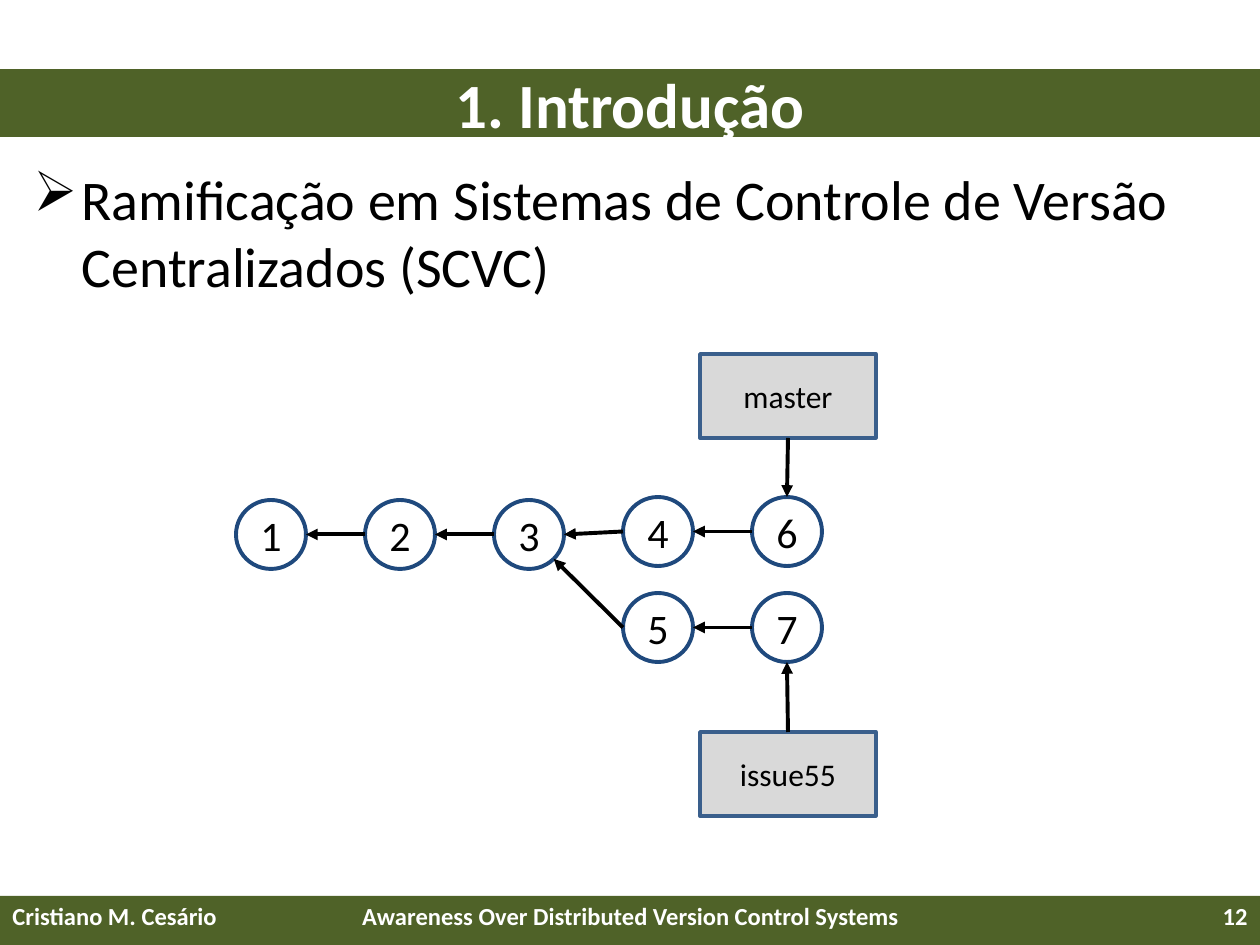
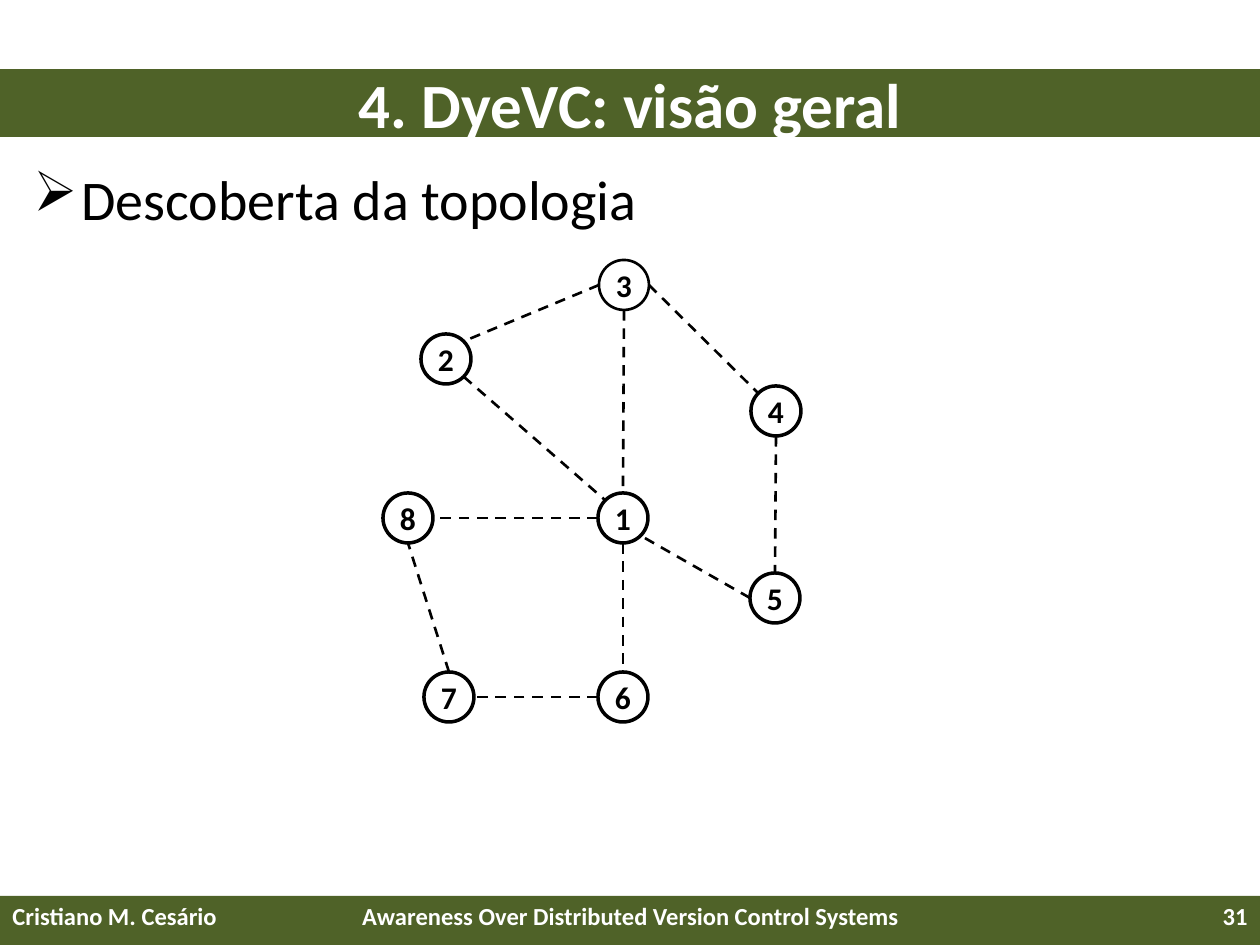
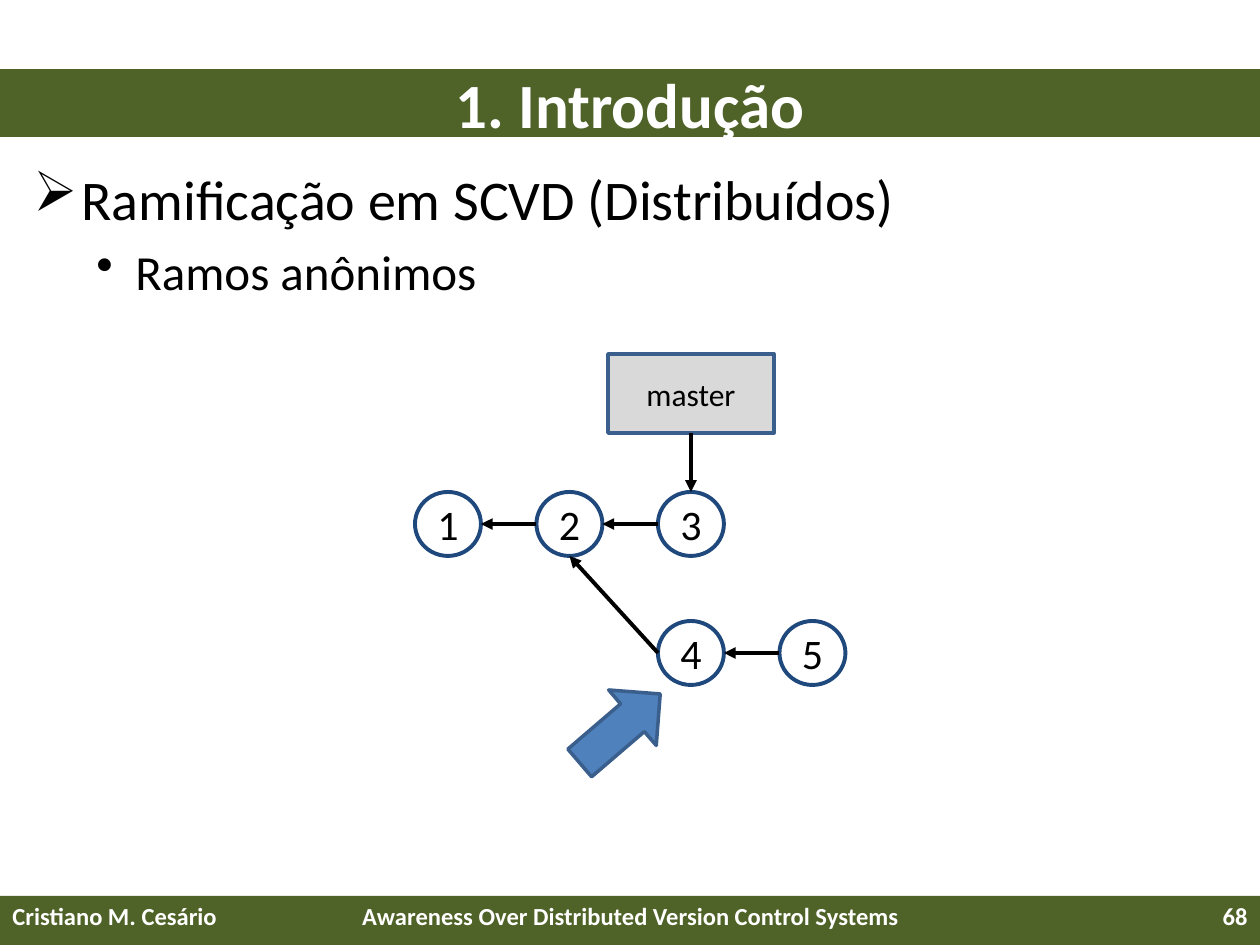
from lxml import etree
from pptx import Presentation
from pptx import util as u
from pptx.dml.color import RGBColor
from pptx.enum import dml, shapes, text
from pptx.oxml.ns import qn

PX = 914400 / 126
WIDTH, HEIGHT = 1260, 945
FONT = "Calibri"
GREEN, WHITE, BLACK = "4F6228", "FFFFFF", "000000"
NAVY, STEEL, BLUE, GREY = "1F497D", "3A5F8C", "4F81BD", "D9D9D9"
LEFT, CENTER, RIGHT = text.PP_ALIGN.LEFT, text.PP_ALIGN.CENTER, text.PP_ALIGN.RIGHT
DIAGONAL = 0.5 ** 0.5
SITES = {"n": (0, -1), "s": (0, 1), "w": (-1, 0), "e": (1, 0),
         "ne": (DIAGONAL, -DIAGONAL), "nw": (-DIAGONAL, -DIAGONAL),
         "se": (DIAGONAL, DIAGONAL)}
# marker, left indent, hanging indent, font size for each outline level
LEVELS = [("➢", 48, 48, 32), ("•", 102, 39, 28)]


def px(n):
    return u.Emu(round(n * PX))


def rgb(value):
    return RGBColor.from_string(value)


def site(sp, name):
    """Point on the outline of a shape, by compass direction."""
    dx, dy = SITES[name]
    return (round(sp.left + sp.width * (1 + dx) / 2),
            round(sp.top + sp.height * (1 + dy) / 2))


class Deck:
    def __init__(self):
        self.prs = Presentation()
        self.prs.slide_width, self.prs.slide_height = px(WIDTH), px(HEIGHT)
        self.s = None

    def slide(self, title, number, *items):
        """Start a slide with its title band, footer and outline of (level, words)."""
        self.s = self.prs.slides.add_slide(self.prs.slide_layouts[5])
        sp = self.s.shapes.title
        sp.left, sp.top, sp.width, sp.height = map(px, (0, 69, WIDTH, 68))
        sp.fill.solid()
        sp.fill.fore_color.rgb = rgb(GREEN)
        self.label(sp, title, 36, WHITE, bold=True)
        sp.text_frame.auto_size = text.MSO_AUTO_SIZE.NONE

        self.shape(shapes.MSO_SHAPE.RECTANGLE, (0, 896, WIDTH, 49), fill=GREEN)
        for x, w, words, align in (
                (0, 294, "Cristiano M. Cesário", LEFT),
                (305, 651, "Awareness Over Distributed Version Control Systems", CENTER),
                (966, 294, str(number), RIGHT)):
            sp = self.s.shapes.add_textbox(px(x), px(895), px(w), px(50))
            self.label(sp, words, 14, WHITE, True, align, text.MSO_ANCHOR.TOP)
        self.outline(items)

    def label(self, sp, words, size, color=BLACK, bold=False, align=CENTER,
              anchor=text.MSO_ANCHOR.MIDDLE):
        tf = sp.text_frame
        tf.text = words
        tf.word_wrap = True
        tf.vertical_anchor = anchor
        tf.paragraphs[0].alignment = align
        self.style(tf.paragraphs[0], size, color, bold)

    def style(self, p, size, color, bold=False):
        for r in p.runs:
            r.font.name, r.font.size, r.font.bold = FONT, u.Pt(size), bold
            r.font.color.rgb = rgb(color)

    def outline(self, items):
        tf = self.s.shapes.add_textbox(px(21), px(158), px(1218), px(724)).text_frame
        tf.word_wrap = True
        for i, (level, words) in enumerate(items):
            p = tf.add_paragraph() if i else tf.paragraphs[0]
            marker, left, hanging, size = LEVELS[level]
            p.text = words
            p.level = level
            pPr = p._p.get_or_add_pPr()
            pPr.set("marL", str(px(left)))
            pPr.set("indent", str(-px(hanging)))
            etree.SubElement(pPr, qn("a:buChar"), char=marker)
            if i:
                p.space_before = u.Pt(size * 0.2)
            self.style(p, size, BLACK)

    def shape(self, kind, box, fill=None, line=None, weight=2):
        sp = self.s.shapes.add_shape(kind, *map(px, box))
        sp.shadow.inherit = False
        if fill:
            sp.fill.solid()
            sp.fill.fore_color.rgb = rgb(fill)
        else:
            sp.fill.background()
        if line:
            sp.line.color.rgb = rgb(line)
            sp.line.width = u.Pt(weight)
        else:
            sp.line.fill.background()
        return sp

    def commit(self, name, x, y, w, h):
        sp = self.shape(shapes.MSO_SHAPE.OVAL, (x, y, w, h), line=NAVY, weight=2.25)
        self.label(sp, name, 24)
        return sp

    def branch(self, name, *box):
        sp = self.shape(shapes.MSO_SHAPE.RECTANGLE, box, GREY, STEEL)
        self.label(sp, name, 18)
        return sp

    def peer(self, name, cx, cy, weight=2):
        size = 50
        sp = self.shape(shapes.MSO_SHAPE.OVAL, (cx - size / 2, cy - size / 2, size, size),
                        line=BLACK, weight=weight)
        self.label(sp, name, 18, bold=True)
        tf = sp.text_frame
        tf.margin_left = tf.margin_right = tf.margin_top = tf.margin_bottom = px(5)
        return sp

    def link(self, start, start_site, end, end_site, weight=2.25):
        c = self.s.shapes.add_connector(shapes.MSO_CONNECTOR.STRAIGHT,
                                        *site(start, start_site), *site(end, end_site))
        c.line.color.rgb = rgb(BLACK)
        c.line.width = u.Pt(weight)
        etree.SubElement(c._element.spPr, qn("a:effectLst"))
        return c

    def arrow(self, *ends):
        ln = self.link(*ends)._element.spPr.find(qn("a:ln"))
        etree.SubElement(ln, qn("a:tailEnd"), type="triangle")

    def dashed(self, *ends):
        self.link(*ends, weight=1.5).line.dash_style = dml.MSO_LINE.DASH

    def history(self, places, origin_x, step, w, h, parents):
        """Draw commits from {name: (column, y)} and arrows from child to parent."""
        commits = {name: self.commit(name, origin_x + column * step, y, w, h)
                   for name, (column, y) in places.items()}
        for child, parent, parent_site in parents:
            self.arrow(commits[child], "w", commits[parent], parent_site)
        return commits


def centralized_branching(deck):
    deck.slide("1. Introdução", 12,
               (0, "Ramificação em Sistemas de Controle de Versão Centralizados (SCVC)"))
    commits = deck.history(
        {"1": (0, 500), "2": (1, 500), "3": (2, 500), "4": (3, 497),
         "6": (4, 497), "5": (3, 593), "7": (4, 593)},
        236, 129, 70, 69,
        [("2", "1", "e"), ("3", "2", "e"), ("4", "3", "e"),
         ("6", "4", "e"), ("5", "3", "se"), ("7", "5", "e")])
    deck.arrow(deck.branch("master", 700, 354, 176, 84), "s", commits["6"], "n")
    deck.arrow(deck.branch("issue55", 700, 732, 176, 84), "n", commits["7"], "s")


def topology(deck):
    deck.slide("4. DyeVC: visão geral", 31, (0, "Descoberta da topologia"))
    centers = {"1": (623, 518), "8": (408, 518), "2": (446, 359), "3": (624, 285),
               "4": (776, 411), "6": (623, 697), "7": (449, 697), "5": (775, 598)}
    peers = {name: deck.peer(name, *center, weight=1.5 if name == "3" else 2)
             for name, center in centers.items()}
    for a, a_site, b, b_site in (
            ("3", "s", "1", "n"), ("3", "w", "2", "ne"), ("1", "w", "8", "e"),
            ("1", "s", "6", "n"), ("6", "w", "7", "e"), ("2", "se", "1", "nw"),
            ("3", "e", "4", "nw"), ("4", "s", "5", "n"), ("5", "w", "1", "se"),
            ("7", "n", "8", "s")):
        deck.dashed(peers[a], a_site, peers[b], b_site)


def anonymous_branches(deck):
    deck.slide("1. Introdução", 68,
               (0, "Ramificação em SCVD (Distribuídos)"), (1, "Ramos anônimos"))
    commits = deck.history(
        {"1": (0, 492), "2": (1, 492), "3": (2, 492), "4": (2, 621), "5": (3, 621)},
        415, 121.5, 66, 64,
        [("2", "1", "e"), ("3", "2", "e"), ("4", "2", "s"), ("5", "4", "e")])
    deck.arrow(deck.branch("master", 608, 354, 166, 79), "s", commits["3"], "n")
    pointer = deck.shape(shapes.MSO_SHAPE.RIGHT_ARROW, (567, 692, 106, 73), BLUE, STEEL)
    pointer.rotation = 319.4


def main():
    deck = Deck()
    centralized_branching(deck)
    topology(deck)
    anonymous_branches(deck)
    deck.prs.save("out.pptx")


if __name__ == "__main__":
    main()
